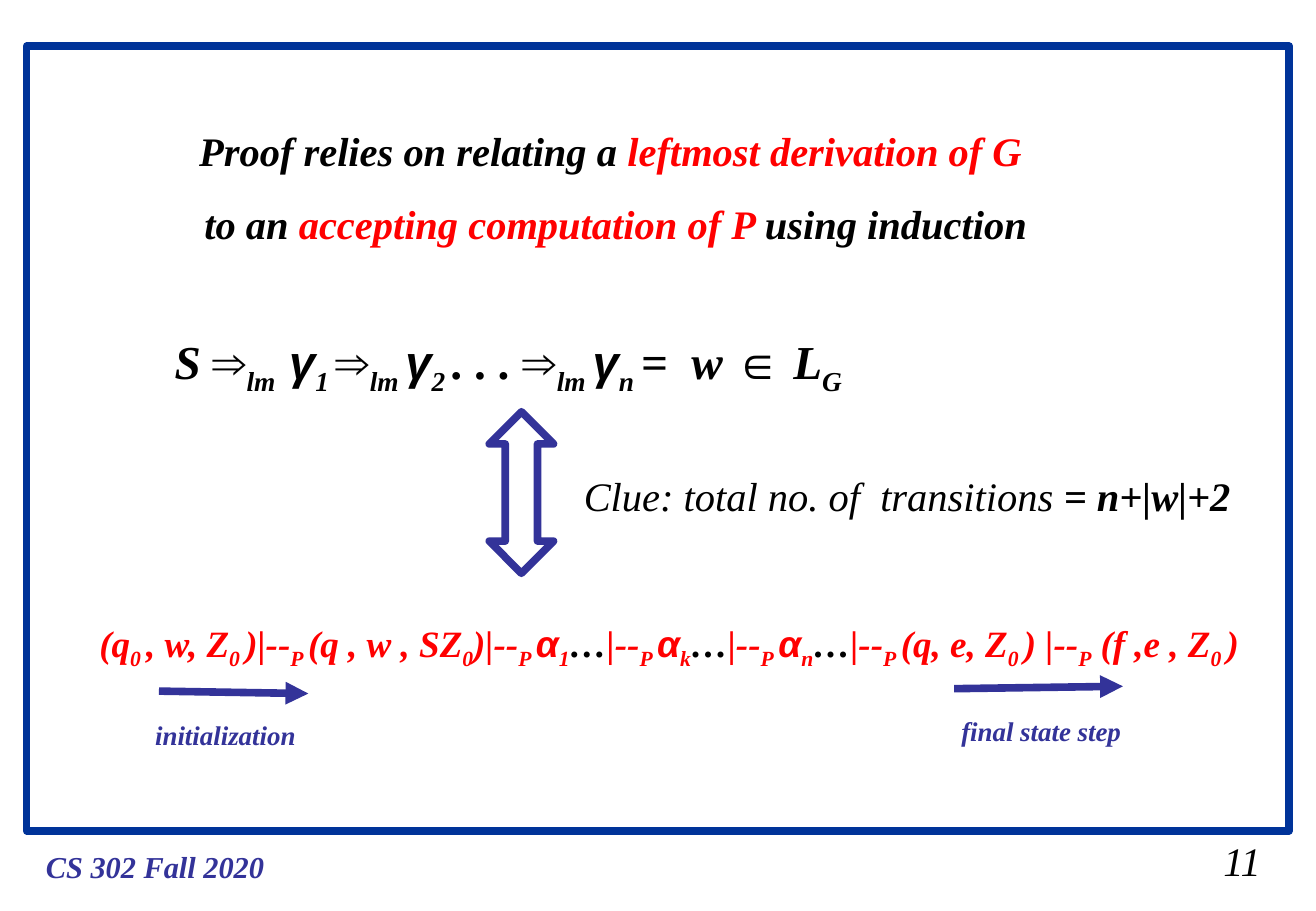
import pptx
import pptx.dml.color
import pptx.enum.shapes
import pptx.enum.text
import pptx.oxml
import pptx.oxml.ns
import pptx.util

RGB = pptx.dml.color.RGBColor
FRAME_BLUE = RGB(0x00, 0x33, 0x99)
INDIGO = RGB(0x33, 0x33, 0x99)
RED = RGB(0xFF, 0x00, 0x00)
BLACK = RGB(0x00, 0x00, 0x00)

SERIF, SANS = "Times New Roman", "Arial"
MSO = pptx.enum.shapes.MSO_SHAPE
ALIGN = pptx.enum.text.PP_ALIGN
LINE_WIDTH = pptx.util.Pt(4.5)
SLIDE = (0, 0, pptx.util.Inches(10.84), pptx.util.Inches(7.5))


def within(box, left, top, width, height):
    """Return the part of box given by percentages of its size."""
    x, y, w, h = box
    return (round(x + w * left / 100), round(y + h * top / 100),
            round(w * width / 100), round(h * height / 100))


def run(text, color=BLACK, font=SERIF, sub=False, bold=True):
    return dict(text=text, color=color, font=font, sub=sub, bold=bold)


def add_text(shapes, box, size, *paragraphs, align=None, spacing=None, wrap=False):
    tf = shapes.add_textbox(*box).text_frame
    tf.word_wrap = wrap
    tf.auto_size = pptx.enum.text.MSO_AUTO_SIZE.SHAPE_TO_FIT_TEXT
    for i, runs in enumerate(paragraphs):
        p = tf.add_paragraph() if i else tf.paragraphs[0]
        p.alignment = align
        p.line_spacing = spacing
        for part in runs:
            r = p.add_run()
            r.text = part["text"]
            r.font.size = pptx.util.Pt(size)
            r.font.name = part["font"]
            r.font.color.rgb = part["color"]
            r.font.bold = part["bold"]
            r.font.italic = True
            if part["sub"]:
                r._r.get_or_add_rPr().set("baseline", "-25000")


def add_outline(shapes, kind, box, color):
    sp = shapes.add_shape(kind, *box)
    sp.shadow.inherit = False
    sp.fill.background()
    sp.line.color.rgb = color
    sp.line.width = LINE_WIDTH
    return sp


def add_arrow(shapes, start, end):
    line = shapes.add_connector(pptx.enum.shapes.MSO_CONNECTOR.STRAIGHT, *start, *end)
    line.line.color.rgb = INDIGO
    line.line.width = LINE_WIDTH
    ns = pptx.oxml.ns.nsdecls("a")
    line.line._get_or_add_ln().append(
        pptx.oxml.parse_xml(f'<a:tailEnd {ns} type="triangle"/>'))
    line._element.spPr.append(pptx.oxml.parse_xml(f"<a:effectLst {ns}/>"))


def add_footer(s, box):
    add_text(s.shapes, within(box, 0, 20, 19.55, 80), 18,
             [run("CS 302 Fall 2020", INDIGO)])
    add_text(s.shapes, within(box, 94.82, 0, 5.18, 100), 24, [run("11", bold=False)])


def add_statement(s, box):
    add_text(s.shapes, box, 24,
             [run("Proof relies on relating a "), run("leftmost derivation of G ", RED)],
             [run("to an "), run("accepting computation of P ", RED),
              run("using induction")],
             align=ALIGN.CENTER, spacing=1.5, wrap=True)


def add_derivation(s, box):
    def step(gap, index):
        return [run("⇒", font=SANS), run("lm" + gap, sub=True),
                run("γ", font=SANS), run(index + " ", sub=True)]

    add_text(s.shapes, box, 28,
             [run("S "), *step("  ", "1"), *step(" ", "2"), run(". . . "),
              *step(" ", "n"), run("=  w "), run("∈", font=SANS),
              run(" L"), run("G", sub=True)], wrap=True)


def add_bridge(s, box):
    """Double arrow between the two sequences, with the clue beside it."""
    arrow = add_outline(s.shapes, MSO.UP_DOWN_ARROW, within(box, 0, 0, 8.53, 100), INDIGO)
    arrow.adjustments[0], arrow.adjustments[1] = 0.5, 0.5
    add_text(s.shapes, within(box, 10.95, 18.05, 89.05, 52.63), 24,
             [run("Clue: total no. of  transitions ", bold=False), run("= n+|w|+2")],
             spacing=1.5)


def add_step(s, box, label, start, end):
    """Group an arrow with its caption; start and end are percentages of box."""
    group = s.shapes.add_group_shape()
    add_arrow(group.shapes, within(box, *start, 0, 0)[:2], within(box, *end, 0, 0)[:2])
    add_text(group.shapes, within(box, 0, 32.73, 100, 67.27), 16, [run(label, INDIGO)])


def add_computation(s, box):
    def red(text):
        return run(text, RED)

    def low(text):
        return run(text, RED, sub=True)

    runs = [red("(q"), low("0 "), red(", w, Z"), low("0 "), red(")|--"), low("P "),
            red("(q , w , SZ"), low("0"), red(")|--"), low("P ")]
    for index in "1kn":
        runs += [run("α", RED, SANS), low(index), run("…"), red("|--"), low("P ")]
    runs += [red("(q, e, Z"), low("0 "), red(") |--"), low("P"),
             red(" (f ,e , Z"), low("0 "), red(")")]
    add_text(s.shapes, within(box, 0, 0, 100, 52.52), 22, runs, spacing=1.5, wrap=True)
    add_step(s, within(box, 4.77, 60.43, 14.11, 39.57), "initialization",
             (9.56, 0), (100, 3.64))
    add_step(s, within(box, 73.65, 57.55, 15.77, 39.57), "final state step",
             (2.63, 3.64), (94.08, 0))


def main():
    prs = pptx.Presentation()
    prs.slide_width, prs.slide_height = SLIDE[2:]
    s = prs.slides.add_slide(prs.slide_layouts[6])
    add_outline(s.shapes, MSO.RECTANGLE, within(SLIDE, 2.03, 5.07, 95.94, 86.13), FRAME_BLUE)
    add_footer(s, within(SLIDE, 2.58, 91.07, 94.37, 6.67))
    add_statement(s, within(SLIDE, 14.21, 10.53, 65.13, 17.33))
    add_derivation(s, within(SLIDE, 12.36, 35.87, 53.69, 8.4))
    add_computation(s, within(SLIDE, 6.64, 64.67, 88.93, 18.53))
    add_bridge(s, within(SLIDE, 37.18, 45.2, 57.29, 17.73))
    prs.save("out.pptx")


if __name__ == "__main__":
    main()
